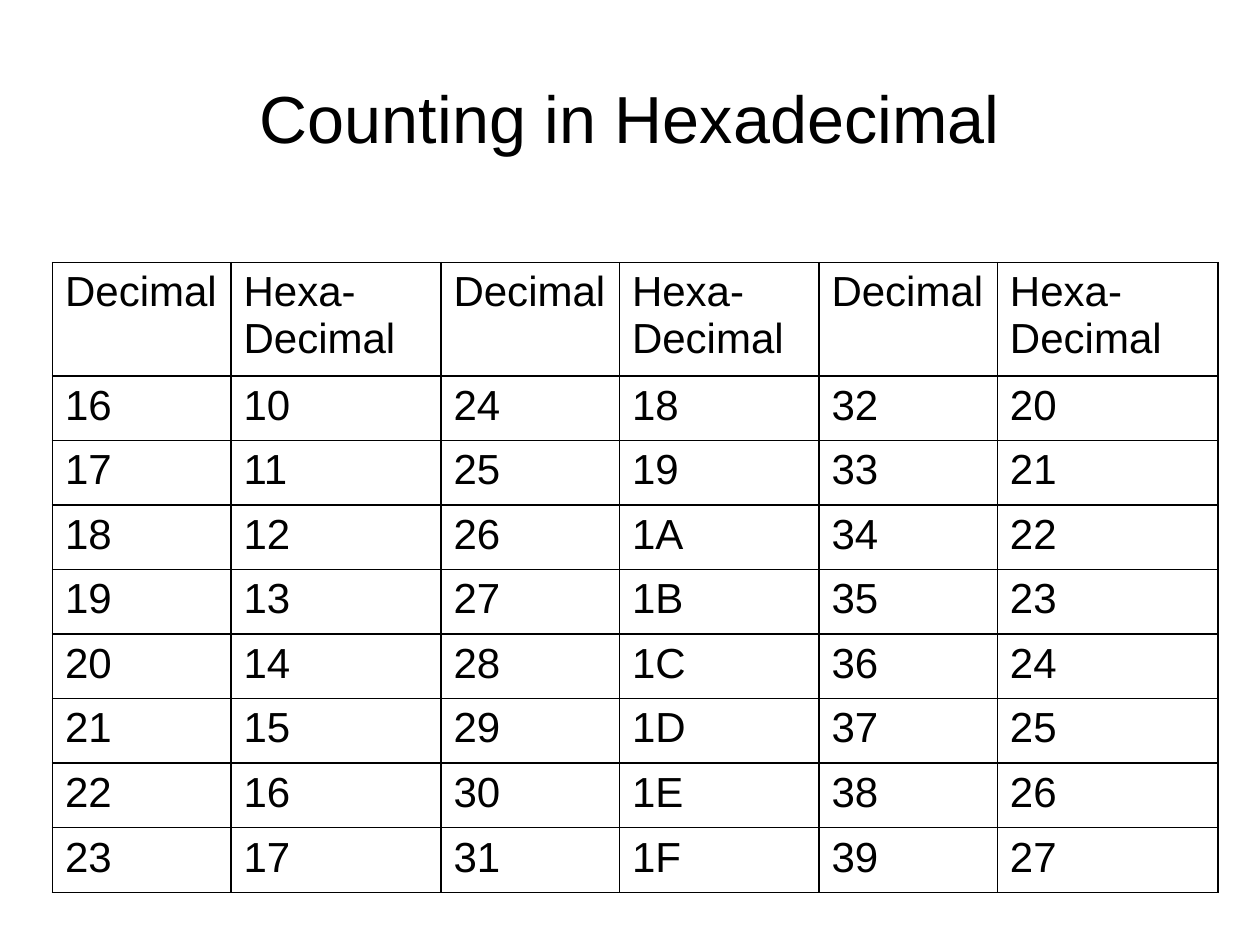
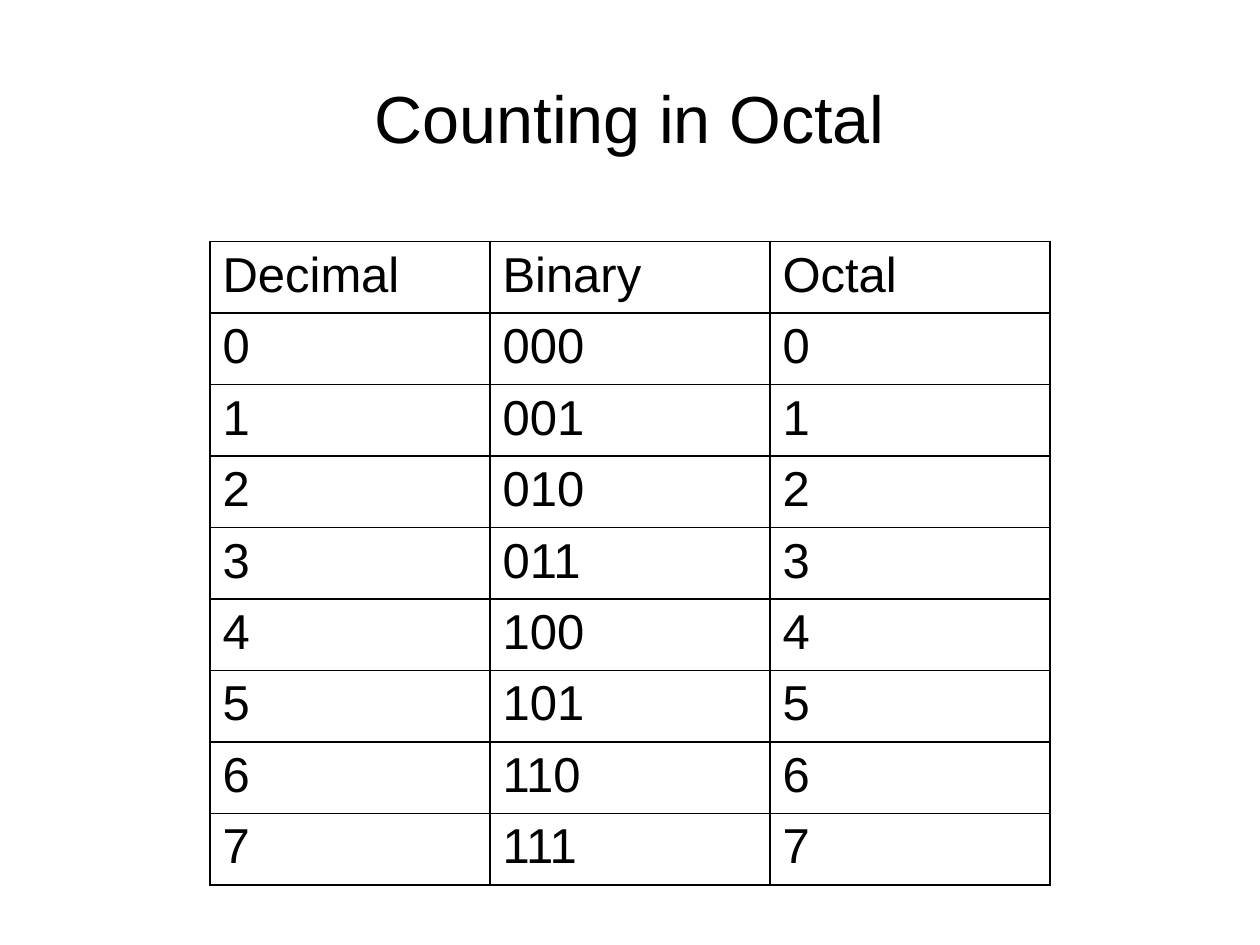
from lxml import etree
from pptx import Presentation
from pptx.dml.color import RGBColor
from pptx.enum.text import MSO_ANCHOR, PP_ALIGN
from pptx.oxml.ns import qn
from pptx.util import Pt

CENTER, JUSTIFY = PP_ALIGN.CENTER, PP_ALIGN.JUSTIFY
MIDDLE, TOP = MSO_ANCHOR.MIDDLE, MSO_ANCHOR.TOP

BLACK = RGBColor(0x00, 0x00, 0x00)
WHITE = RGBColor(0xFF, 0xFF, 0xFF)
FONT = "Arial"
BLANK_LAYOUT = 6
TITLE_BOX = (36, 21.6, 648, 90)
TITLE_SIZE = 38
HANGING_INDENT = 27
BORDER_WIDTH = 1


def write_text(frame, text, *, size, align, color=BLACK, hanging=0):
    """Write each line of text as a paragraph with one format."""
    for index, line in enumerate(text.split("\n")):
        para = frame.add_paragraph() if index else frame.paragraphs[0]
        para.alignment = align
        if hanging:
            properties = para._p.get_or_add_pPr()
            properties.set("marL", str(Pt(hanging)))
            properties.set("indent", str(-Pt(hanging)))
        span = para.add_run()
        span.text = line
        span.font.name = FONT
        span.font.size = Pt(size)
        span.font.color.rgb = color


def add_title(page, text, box):
    left, top, width, height = map(Pt, box)
    frame = page.shapes.add_textbox(left, top, width, height).text_frame
    frame.word_wrap = True
    frame.vertical_anchor = MIDDLE
    write_text(frame, text, size=TITLE_SIZE, align=CENTER)


def add_borders(cell):
    """Draw a thin black line on all four sides of the cell."""
    properties = cell._tc.get_or_add_tcPr()
    for side in ("a:lnL", "a:lnR", "a:lnT", "a:lnB"):
        line = etree.SubElement(properties, qn(side), w=str(Pt(BORDER_WIDTH)))
        fill = etree.SubElement(line, qn("a:solidFill"))
        etree.SubElement(fill, qn("a:srgbClr"), val=str(BLACK))


def add_number_table(page, rows, position, widths, heights, size):
    """Place a ruled table whose size follows its columns and rows."""
    left, top = position
    table = page.shapes.add_table(
        len(rows), len(widths), Pt(left), Pt(top),
        Pt(sum(widths)), Pt(sum(heights))).table
    table.first_row = False
    table.horz_banding = False
    for column, width in zip(table.columns, widths):
        column.width = Pt(width)
    for table_row, height, values in zip(table.rows, heights, rows):
        table_row.height = Pt(height)
        for cell, value in zip(table_row.cells, values):
            add_borders(cell)
            cell.fill.solid()
            cell.fill.fore_color.rgb = WHITE
            cell.vertical_anchor = TOP
            write_text(cell.text_frame, value, size=size, align=JUSTIFY,
                       hanging=HANGING_INDENT)


def add_counting_slide(deck, title, **table_format):
    page = deck.slides.add_slide(deck.slide_layouts[BLANK_LAYOUT])
    add_title(page, title, TITLE_BOX)
    add_number_table(page, **table_format)


def hexadecimal_rows():
    """Three pairs of columns, each counting eight numbers from 16 on."""
    rows = [["Decimal", "Hexa-\nDecimal"] * 3]
    for first in range(16, 24):
        numbers = (first, first + 8, first + 16)
        rows.append([text for n in numbers for text in (str(n), f"{n:X}")])
    return rows


def octal_rows():
    counted = [[str(n), f"{n:03b}", f"{n:o}"] for n in range(8)]
    return [["Decimal", "Binary", "Octal"]] + counted


def main():
    deck = Presentation()
    deck.slide_width, deck.slide_height = Pt(720), Pt(540)

    # Hexadecimal numbers, with a taller heading row
    add_counting_slide(
        deck, "Counting in Hexadecimal", rows=hexadecimal_rows(),
        position=(30, 150), widths=[102, 120, 102, 114, 102, 126],
        heights=[64.8] + [36.9] * 8, size=24)

    # Octal numbers, with equal rows and columns
    add_counting_slide(
        deck, "Counting in Octal", rows=octal_rows(),
        position=(120, 138), widths=[160] * 3, heights=[40.8] * 9, size=28)

    deck.save("out.pptx")


if __name__ == "__main__":
    main()
